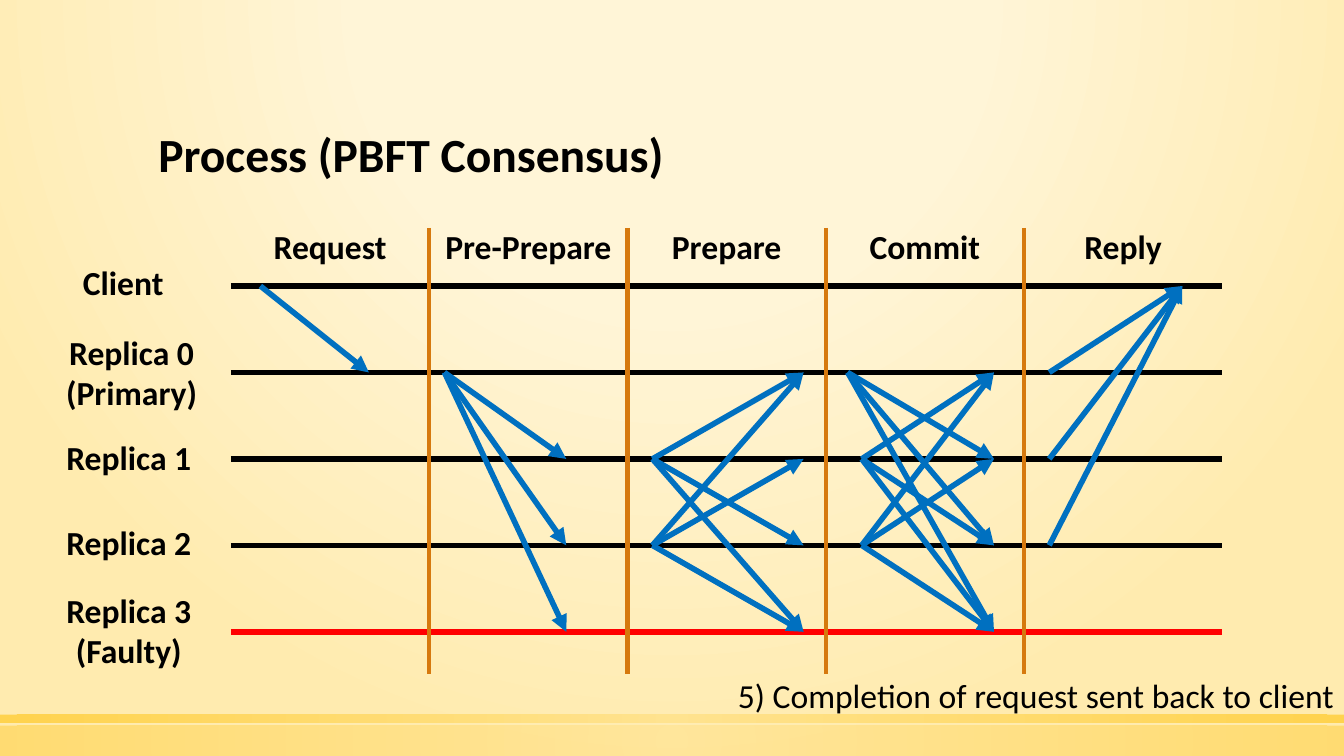
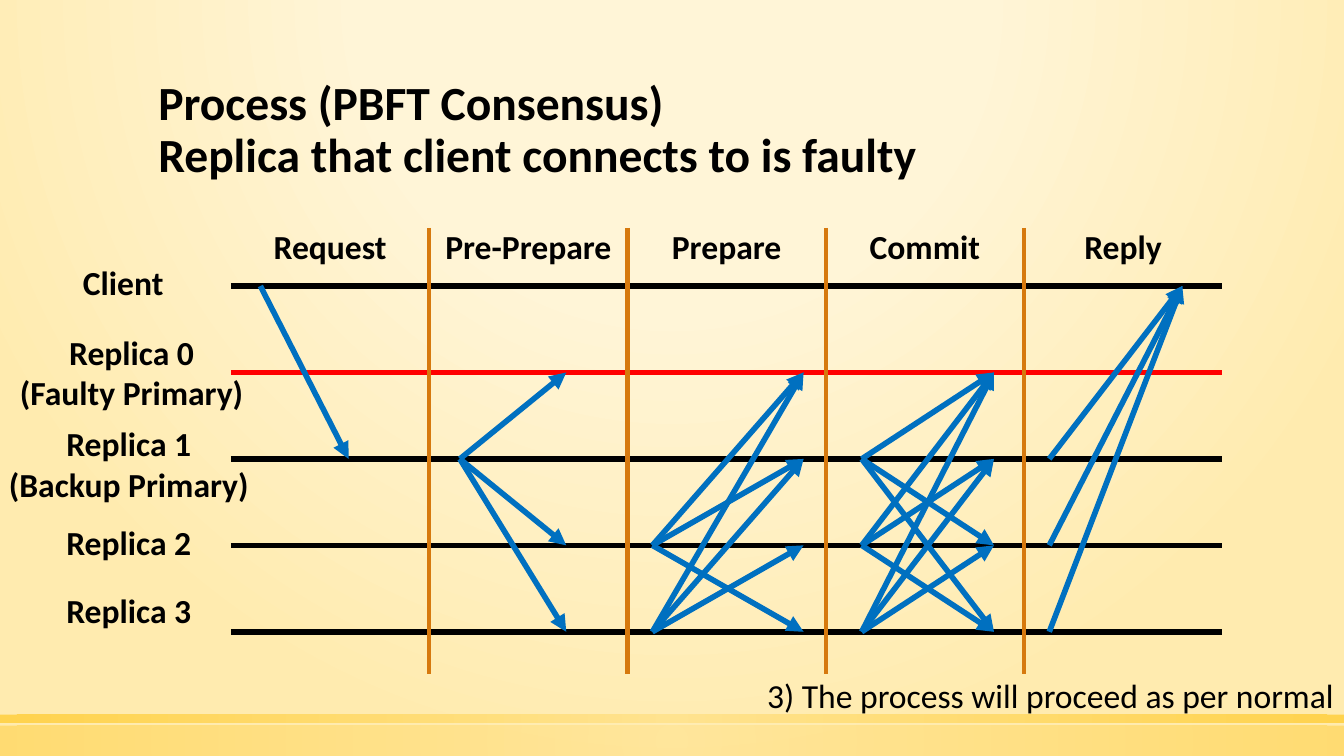
from lxml.etree import SubElement
from pptx import Presentation
from pptx.dml.color import RGBColor
from pptx.enum.shapes import MSO_CONNECTOR, MSO_SHAPE
from pptx.enum.text import MSO_ANCHOR, PP_ALIGN
from pptx.oxml.ns import qn
from pptx.util import Pt

PAGE_WIDTH, PAGE_HEIGHT = 960, 540
FONT = "Calibri"
BLACK, FAULTY, DIVIDER, MESSAGE = "000000", "FF0000", "D6790E", "0070C0"

# Diagram grid: phases are columns, participants are rows
DIAGRAM = (165, 162.7, 708, 319)
PHASES = ["Request", "Pre-Prepare", "Prepare", "Commit", "Reply"]
CLIENT, REPLICA_0, REPLICA_1, REPLICA_2, REPLICA_3 = range(5)
REPLICAS = [REPLICA_0, REPLICA_1, REPLICA_2, REPLICA_3]
FIRST_ROW, ROW_GAP = 41.6, 61.75
LABEL_WIDTH = 176


def color(hex_text):
    return RGBColor.from_string(hex_text)


def paint_gradient(fill, element, stops, focus):
    """Fill with a circular gradient; stops are (position, colour, opacity)."""
    fill.gradient()
    gradient = element.find(".//" + qn("a:gradFill"))
    for child in list(gradient):
        gradient.remove(child)
    stop_list = SubElement(gradient, qn("a:gsLst"))
    for position, hex_text, opacity in stops:
        stop = SubElement(stop_list, qn("a:gs"), pos=str(position * 1000))
        tint = SubElement(stop, qn("a:srgbClr"), val=hex_text)
        if opacity < 100:
            SubElement(tint, qn("a:alpha"), val=str(opacity * 1000))
    circle = SubElement(gradient, qn("a:path"), path="circle")
    sides = {side: str(value * 1000) for side, value in zip("ltrb", focus)}
    SubElement(circle, qn("a:fillToRect"), **sides)


def add_text(page, text, left, top, width, height, size=24, bold=True,
             align=PP_ALIGN.CENTER, anchor=MSO_ANCHOR.TOP, wrap=True,
             side_inset=7.2, line_spacing=None):
    box = page.shapes.add_textbox(Pt(left), Pt(top), Pt(width), Pt(height))
    frame = box.text_frame
    frame.word_wrap = wrap
    frame.vertical_anchor = anchor
    frame.margin_left = frame.margin_right = Pt(side_inset)
    for index, line in enumerate(text.split("\n")):
        para = frame.add_paragraph() if index else frame.paragraphs[0]
        para.alignment = align
        para.line_spacing = line_spacing
        span = para.add_run()
        span.text = line
        span.font.name = FONT
        span.font.size = Pt(size)
        span.font.bold = bold
        span.font.color.rgb = color(BLACK)


def add_line(page, start, end, hex_text, width=4, arrow=False):
    line = page.shapes.add_connector(
        MSO_CONNECTOR.STRAIGHT, *[Pt(value) for value in (*start, *end)])
    line.line.color.rgb = color(hex_text)
    line.line.width = Pt(width)
    if arrow:
        SubElement(line.line._get_or_add_ln(), qn("a:tailEnd"), type="triangle")
    SubElement(line.element.spPr, qn("a:effectLst"))


def add_bands(page):
    for top, height, opacity in [(518.4, 21.6, 50), (510.5, 5.8, 80)]:
        band = page.shapes.add_shape(
            MSO_SHAPE.RECTANGLE, 0, Pt(top), Pt(PAGE_WIDTH), Pt(height))
        band.shadow.inherit = False
        band.line.fill.background()
        paint_gradient(band.fill, band.element,
                       [(0, "FFE186", opacity), (100, "FFCD36", opacity)],
                       (50, 50, 50, 50))


def add_diagram(page, box, faulty_row, labels, messages):
    left, top, width, height = box
    column = width / len(PHASES)

    def point(x, row):
        return left + x, top + FIRST_ROW + row * ROW_GAP

    # Participant lines and labels
    for row, (label, center, label_top) in enumerate(labels):
        add_line(page, point(0, row), point(width, row),
                 FAULTY if row == faulty_row else BLACK)
        lines = label.count("\n") + 1
        add_text(page, label, left + center - LABEL_WIDTH / 2, top + label_top,
                 LABEL_WIDTH, 7.2 + 29 * lines, wrap=False, side_inset=0)

    # Phase dividers and headings
    for index, phase in enumerate(PHASES):
        x = left + index * column
        if index:
            add_line(page, (x, top), (x, top + height), DIVIDER, width=3)
        add_text(page, phase, x, top - 5, column, 36)

    # Messages fan out from each sender to its receivers
    for start_x, sender, end_x, receivers in messages:
        for receiver in receivers:
            add_line(page, point(start_x, sender), point(end_x, receiver),
                     MESSAGE, arrow=True)


def phase_messages(start_x, end_x, senders, receivers):
    """Each sender reaches every receiver but itself."""
    return [(start_x, sender, end_x, [row for row in receivers if row != sender])
            for sender in senders]


def add_process_page(deck, title, note, **diagram):
    page = deck.slides.add_slide(deck.slide_layouts[6])
    add_bands(page)
    add_text(page, title, 106, 36.7, 749, 97.2, size=34, align=PP_ALIGN.LEFT,
             anchor=MSO_ANCHOR.BOTTOM, line_spacing=0.9)
    add_diagram(page, DIAGRAM, **diagram)
    add_text(page, note, 500, 478.8, 460, 36, bold=False,
             align=PP_ALIGN.RIGHT, wrap=False)


def main():
    deck = Presentation()
    deck.slide_width, deck.slide_height = Pt(PAGE_WIDTH), Pt(PAGE_HEIGHT)
    master = deck.slide_master
    paint_gradient(master.background.fill, master.element,
                   [(0, "FFF5D7", 59), (40, "FFF5D7", 66), (100, "FFEBAF", 100)],
                   (50, -80, 50, 180))

    # Label: text, centre and top relative to the diagram
    client = ("Client", -77, 20.9)
    replica_2 = ("Replica 2", -73, 206.7)

    # Faulty replica that is not the primary
    working = [REPLICA_1, REPLICA_2]
    add_process_page(
        deck, "Process (PBFT Consensus)",
        "5) Completion of request sent back to client",
        faulty_row=REPLICA_3,
        labels=[client, ("Replica 0\n(Primary)", -71, 70.6),
                ("Replica 1", -73, 145.5), replica_2,
                ("Replica 3\n(Faulty)", -73, 254.9)],
        messages=[(21, CLIENT, 98.5, [REPLICA_0]),
                  *phase_messages(152.5, 239.5, [REPLICA_0], REPLICAS),
                  *phase_messages(301, 409, working, REPLICAS),
                  *phase_messages(440.5, 545, [REPLICA_0], REPLICAS),
                  *phase_messages(450.5, 545, working, REPLICAS),
                  *phase_messages(584.5, 679.5, [REPLICA_0, *working], [CLIENT])])

    # Faulty primary replaced by its backup
    working = [REPLICA_2, REPLICA_3]
    add_process_page(
        deck, "Process (PBFT Consensus)\nReplica that client connects to is faulty",
        "3) The process will proceed as per normal",
        faulty_row=REPLICA_0,
        labels=[client, ("Replica 0\n(Faulty Primary)", -71, 70.6),
                ("Replica 1\n(Backup Primary)", -73, 136.1), replica_2,
                ("Replica 3", -73, 254.9)],
        messages=[(21, CLIENT, 84, [REPLICA_1]),
                  *phase_messages(163.5, 239.5, [REPLICA_1], REPLICAS),
                  *phase_messages(301, 409, working, REPLICAS),
                  *phase_messages(450.5, 545, [REPLICA_1, *working], REPLICAS),
                  *phase_messages(584.5, 679.5, [REPLICA_1, *working], [CLIENT])])

    deck.save("out.pptx")


if __name__ == "__main__":
    main()
